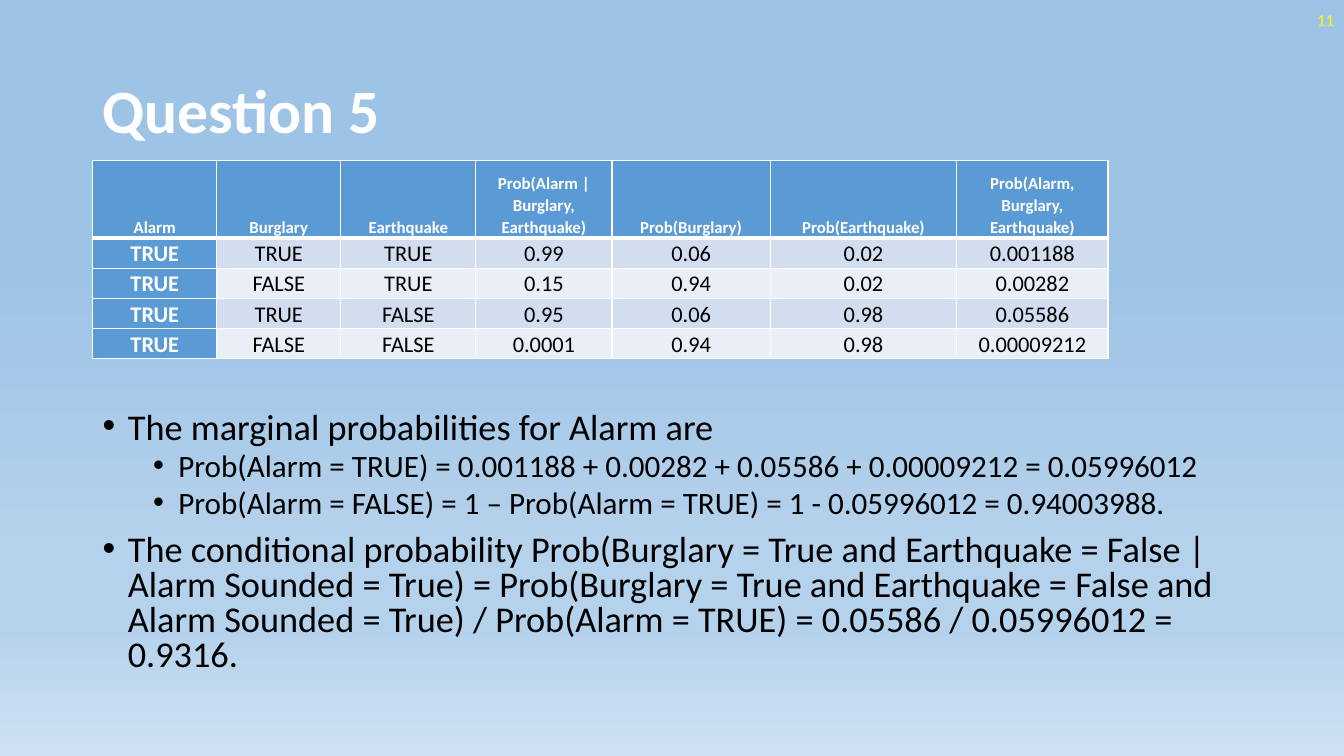
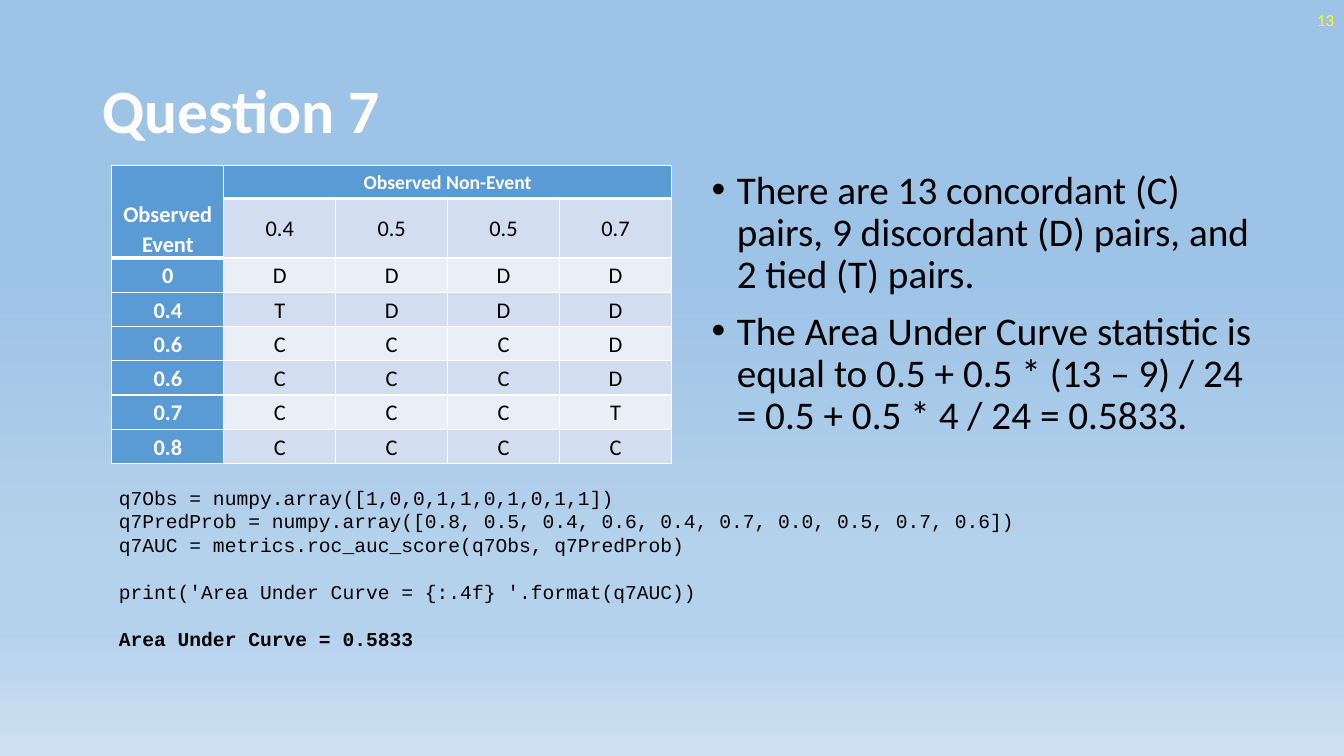
from lxml.etree import SubElement
from pptx import Presentation
from pptx.dml.color import RGBColor
from pptx.enum.text import MSO_ANCHOR as Anchor, PP_ALIGN as Align
from pptx.oxml.ns import qn
from pptx.util import Inches, Pt

BODY_FONT, CODE_FONT = "Calibri", "Courier New"
WHITE, BLACK, YELLOW = "FFFFFF", "000000", "FFFF00"
HEADER_BLUE = "5B9BD5"
BANDS = ("EAEFF7", "D2DEEF")  # even rows, odd rows
BACKGROUND_STOPS = ((35, "9DC3E6"), (74, "B5D2EC"), (83, "B5D2EC"), (100, "CEE1F2"))


def color(hex_text):
    return RGBColor.from_string(hex_text)


def write(paragraph, text, size=18, font=BODY_FONT, fill=BLACK, bold=False,
          align=Align.LEFT, line=1.0, before=0, bullet_level=None):
    """Put formatted text into a paragraph; a bullet level adds a bullet."""
    paragraph.alignment = align
    paragraph.line_spacing = line
    paragraph.space_before = Pt(before)
    run = paragraph.add_run()
    run.text = text
    run.font.size, run.font.name, run.font.bold = Pt(size), font, bold
    run.font.color.rgb = color(fill)
    if bullet_level is not None:
        properties = paragraph._p.get_or_add_pPr()
        properties.set("marL", str(Inches(0.25 + 0.5 * bullet_level)))
        properties.set("indent", str(Inches(-0.25)))
        SubElement(properties, qn("a:buFont"), typeface="Arial")
        SubElement(properties, qn("a:buChar"), char="•")


def draw_borders(cell, top, bottom):
    """White cell edges; the top and bottom widths are in points."""
    properties = cell._tc.get_or_add_tcPr()
    edges = (("L", 1), ("R", 1), ("T", top), ("B", bottom))
    for index, (side, width) in enumerate(edges):
        edge = SubElement(properties, qn(f"a:ln{side}"), w=str(Pt(width)))
        fill = SubElement(edge, qn("a:solidFill"))
        SubElement(fill, qn("a:srgbClr"), val=WHITE)
        properties.insert(index, edge)  # edges come before the cell fill


class Deck:
    """Shared style and the current slide."""

    def __init__(self):
        self.presentation = Presentation()
        self.presentation.slide_width = Inches(13.33)
        self.presentation.slide_height = Inches(7.5)
        self.slide = None
        self.set_background()

    def set_background(self):
        master = self.presentation.slide_master
        fill = master.background.fill
        fill.gradient()
        fill.gradient_angle = 270
        stops = master.element.find(".//" + qn("a:gsLst"))
        for stop in list(stops):
            stops.remove(stop)
        for percent, shade in BACKGROUND_STOPS:
            stop = SubElement(stops, qn("a:gs"), pos=str(percent * 1000))
            SubElement(stop, qn("a:srgbClr"), val=shade)

    def add_slide(self, title, number):
        self.slide = self.presentation.slides.add_slide(self.presentation.slide_layouts[6])
        self.add_text((0.92, 0.4, 11.5, 1.45), [(title, {})], Anchor.MIDDLE,
                      size=44, fill=WHITE, bold=True, line=0.9)
        self.add_text((10.33, 0, 3, 0.4), [(str(number), {})], Anchor.MIDDLE,
                      size=12, fill=YELLOW, align=Align.RIGHT)

    def add_text(self, box, paragraphs, anchor=Anchor.TOP, **shared):
        """Each paragraph is (text, format that differs from the shared one)."""
        frame = self.slide.shapes.add_textbox(*map(Inches, box)).text_frame
        frame.word_wrap = True
        frame.vertical_anchor = anchor
        for index, (text, own) in enumerate(paragraphs):
            paragraph = frame.add_paragraph() if index else frame.paragraphs[0]
            write(paragraph, text, **{**shared, **own})

    def add_table(self, left, top, widths, heights, values, header_styles,
                  merges=(), before=0):
        """None marks a cell covered by a merge; header styles are (size, anchor)."""
        table = self.slide.shapes.add_table(
            len(heights), len(widths), Inches(left), Inches(top),
            Inches(sum(widths)), Inches(sum(heights))).table
        table.first_row = table.horz_banding = False
        for column, width in zip(table.columns, widths):
            column.width = Inches(width)
        for row, height in zip(table.rows, heights):
            row.height = Inches(height)

        def is_header(row, column):
            return row == 0 or values[row][column] is None

        for row, texts in enumerate(values):
            for column, text in enumerate(texts):
                cell = table.cell(row, column)
                header = is_header(row, column)
                blue = header or column == 0
                size, anchor = header_styles[column] if header else (16, Anchor.MIDDLE)
                cell.margin_left = cell.margin_right = Inches(0.07)
                cell.margin_top = cell.margin_bottom = 0
                cell.vertical_anchor = anchor
                cell.fill.solid()
                cell.fill.fore_color.rgb = color(HEADER_BLUE if blue else BANDS[row % 2])
                below_header = row > 0 and not header and is_header(row - 1, column)
                draw_borders(cell, top=3 if below_header else 1, bottom=3 if header else 1)
                if text is not None:
                    write(cell.text_frame.paragraphs[0], text, size=size, bold=blue,
                          fill=WHITE if blue else BLACK, align=Align.CENTER,
                          line=1.07, before=before)
        for first, last in merges:
            table.cell(*first).merge(table.cell(*last))


def add_question_5(deck):
    deck.add_slide("Question 5", 11)
    # Joint probabilities
    deck.add_table(
        0.92, 1.59, [1.23, 1.23, 1.34, 1.35, 1.57, 1.85, 1.5], [0.77] + [0.3] * 4,
        [["Alarm", "Burglary", "Earthquake", "Prob(Alarm | Burglary, Earthquake)",
          "Prob(Burglary)", "Prob(Earthquake)", "Prob(Alarm, Burglary, Earthquake)"],
         ["TRUE", "TRUE", "TRUE", "0.99", "0.06", "0.02", "0.001188"],
         ["TRUE", "FALSE", "TRUE", "0.15", "0.94", "0.02", "0.00282"],
         ["TRUE", "TRUE", "FALSE", "0.95", "0.06", "0.98", "0.05586"],
         ["TRUE", "FALSE", "FALSE", "0.0001", "0.94", "0.98", "0.00009212"]],
        header_styles=[(12, Anchor.BOTTOM)] * 7)
    # Marginal and conditional probabilities
    detail = {"size": 22.2, "before": 5, "bullet_level": 1}
    deck.add_text((0.92, 4.04, 11.5, 2.72), [
        ("The marginal probabilities for Alarm are", {}),
        ("Prob(Alarm = TRUE) = 0.001188 + 0.00282 + 0.05586 + 0.00009212 = 0.05996012",
         detail),
        ("Prob(Alarm = FALSE) = 1 – Prob(Alarm = TRUE) = 1 - 0.05996012 = 0.94003988.",
         detail),
        ("The conditional probability Prob(Burglary = True and Earthquake = False | "
         "Alarm Sounded = True) = Prob(Burglary = True and Earthquake = False and "
         "Alarm Sounded = True) / Prob(Alarm = TRUE) = 0.05586 / 0.05996012 = 0.9316.", {}),
    ], size=25.9, line=0.8, before=10, bullet_level=0)


def add_question_7(deck):
    deck.add_slide("Question 7", 13)
    # Pairs of observed events and non-events
    pairs = [("0", "DDDD"), ("0.4", "TDDD"), ("0.6", "CCCD"),
             ("0.6", "CCCD"), ("0.7", "CCCT"), ("0.8", "CCCC")]
    deck.add_table(
        1.11, 1.64, [1.11] * 5, [0.33, 0.59] + [0.34] * 6,
        [["Observed Event", "Observed Non-Event", None, None, None],
         [None, "0.4", "0.5", "0.5", "0.7"]]
        + [[event, *letters] for event, letters in pairs],
        header_styles=[(16, Anchor.BOTTOM)] + [(14, Anchor.MIDDLE)] * 4,
        merges=[((0, 0), (1, 0)), ((0, 1), (0, 4))], before=6)
    # Findings
    deck.add_text((6.96, 1.64, 5.56, 2.85), [
        ("There are 13 concordant (C) pairs, 9 discordant (D) pairs, "
         "and 2 tied (T) pairs.", {}),
        ("The Area Under Curve statistic is equal to 0.5 + 0.5 * (13 – 9) / 24 "
         "= 0.5 + 0.5 * 4 / 24 = 0.5833.", {}),
    ], size=28, line=0.9, before=10, bullet_level=0)
    # Code and its output, one line apart
    gap = {"before": 16.8}
    deck.add_text((1.08, 4.77, 11.18, 1.75), [
        ("q7Obs = numpy.array([1,0,0,1,1,0,1,0,1,1])", {}),
        ("q7PredProb = numpy.array([0.8, 0.5, 0.4, 0.6, 0.4, 0.7, 0.0, 0.5, 0.7, 0.6])", {}),
        ("q7AUC = metrics.roc_auc_score(q7Obs, q7PredProb)", {}),
        ("print('Area Under Curve = {:.4f} '.format(q7AUC))", gap),
        ("Area Under Curve = 0.5833", {**gap, "bold": True}),
    ], size=14, font=CODE_FONT)


def main():
    deck = Deck()
    add_question_5(deck)
    add_question_7(deck)
    deck.presentation.save("out.pptx")


if __name__ == "__main__":
    main()
